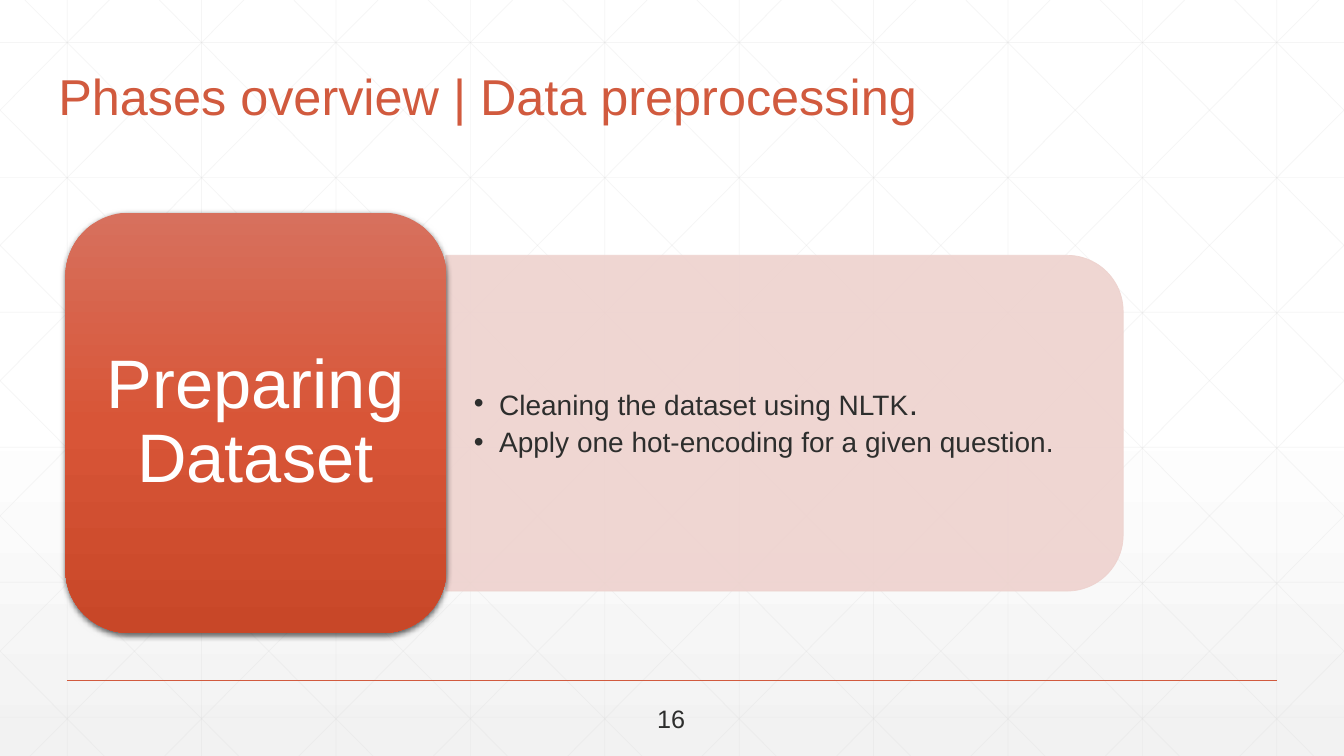
from lxml import etree
from pptx import Presentation
from pptx import util as u
from pptx.dml.color import RGBColor
from pptx.enum import shapes, text
from pptx.oxml import ns

COLORS = {
    "title": "D15A3E", "body": "2D2E2D", "white": "FFFFFF", "grid": "D9D9D9",
    "panel": "EED2CE", "shadow": "000000", "floor": "F2F2F2",
    "card_top": "D7705D", "card_mid": "D85537", "card_low": "C84728",
}
WIDTH, HEIGHT = 33.87, 19.05
PITCH = WIDTH / 10


def rgb(name):
    return RGBColor.from_string(COLORS[name])


def add_sub(parent, tag, **attrs):
    el = etree.SubElement(parent, ns.qn(tag))
    for key, value in attrs.items():
        el.set(key, str(value))
    return el


def set_alpha(element, percent):
    """Make every solid colour inside the element partly transparent."""
    for color in element.iter(ns.qn("a:srgbClr")):
        add_sub(color, "a:alpha", val=percent * 1000)


def set_gradient(fill, element, stops):
    """Fill from top to bottom with (percent, colour name) stops."""
    fill.solid()
    fill.fore_color.rgb = rgb(stops[0][1])
    solid = next(element.iter(ns.qn("a:solidFill")))
    grad = etree.Element(ns.qn("a:gradFill"), rotWithShape="1")
    stop_list = add_sub(grad, "a:gsLst")
    for percent, name in stops:
        gs = add_sub(stop_list, "a:gs", pos=percent * 1000)
        add_sub(gs, "a:srgbClr", val=COLORS[name])
    add_sub(grad, "a:lin", ang=5400000, scaled=0)
    solid.getparent().replace(solid, grad)


def add_line(s, x1, y1, x2, y2, color, width, alpha=100):
    ln = s.shapes.add_connector(shapes.MSO_CONNECTOR.STRAIGHT,
                                u.Cm(x1), u.Cm(y1), u.Cm(x2), u.Cm(y2))
    ln.line.color.rgb = rgb(color)
    ln.line.width = u.Pt(width)
    if alpha < 100:
        set_alpha(ln._element.spPr, alpha)
    add_sub(ln._element.spPr, "a:effectLst")


def add_grid(s):
    def grid_line(*ends):
        add_line(s, *ends, "grid", 0.5, 25)

    for i in range(10):
        x = (i + 0.5) * PITCH
        grid_line(x, 0, x, HEIGHT)
    for i in range(6):
        y = 1.07 + 3.4 * i
        grid_line(0, y, WIDTH, y)
    slope = HEIGHT / 18.93
    for i in range(-5, 10):
        start = 0.63 + i * PITCH
        x1, x2 = max(start, 0), min(start + HEIGHT / slope, WIDTH)
        y1, y2 = (x1 - start) * slope, (x2 - start) * slope
        grid_line(x1, y1, x2, y2)
        grid_line(WIDTH - x1, y1, WIDTH - x2, y2)


def add_panel(s):
    sp = s.shapes.add_shape(shapes.MSO_SHAPE.ROUND_2_SAME_RECTANGLE,
                            u.Cm(15.54), u.Cm(2.13), u.Cm(8.46), u.Cm(17.07))
    sp.rotation = 90
    sp.shadow.inherit = False
    sp.fill.solid()
    sp.fill.fore_color.rgb = rgb("panel")
    sp.line.color.rgb = rgb("panel")
    sp.line.width = u.Pt(0.5)
    set_alpha(sp._element.spPr, 90)


def add_card(s):
    sp = s.shapes.add_shape(shapes.MSO_SHAPE.ROUNDED_RECTANGLE,
                            u.Cm(1.65), u.Cm(5.36), u.Cm(9.6), u.Cm(10.59))
    set_gradient(sp.fill, sp._element.spPr,
                 [(0, "card_top"), (50, "card_mid"), (100, "card_low")])
    sp.line.fill.background()
    sp.shadow.inherit = False
    effects = sp._element.spPr.find(ns.qn("a:effectLst"))
    shadow = add_sub(effects, "a:outerShdw", blurRad=u.Pt(4.5), dist=u.Pt(1.5),
                     dir=5400000, algn="ctr", rotWithShape=0)
    add_sub(shadow, "a:srgbClr", val=COLORS["shadow"])
    set_alpha(shadow, 63)


def add_text(s, box, lines, size, color, inset=(0.25, 0.13), spacing=0.9,
             anchor=text.MSO_ANCHOR.MIDDLE, align=text.PP_ALIGN.LEFT, wrap=True):
    """Add a text box; box is left, top, width, height in centimetres."""
    tf = s.shapes.add_textbox(*map(u.Cm, box)).text_frame
    tf.word_wrap = wrap
    tf.vertical_anchor = anchor
    tf.margin_left = tf.margin_right = u.Cm(inset[0])
    tf.margin_top = tf.margin_bottom = u.Cm(inset[1])
    tf.text = "\n".join(lines)
    for p in tf.paragraphs:
        p.alignment = align
        p.line_spacing = spacing
        for r in p.runs:
            r.font.name = "Arial"
            r.font.size = u.Pt(size)
            r.font.color.rgb = rgb(color)
    return tf


def add_bullets(tf):
    for p in tf.paragraphs:
        p.space_after = u.Pt(4)
        pr = p._p.get_or_add_pPr()
        pr.set("marL", str(u.Cm(0.64)))
        pr.set("indent", str(-u.Cm(0.64)))
        add_sub(pr, "a:buFont", typeface="Arial")
        add_sub(pr, "a:buChar", char="•")


def main():
    prs = Presentation()
    prs.slide_width, prs.slide_height = u.Cm(WIDTH), u.Cm(HEIGHT)
    s = prs.slides.add_slide(prs.slide_layouts[6])
    set_gradient(s.background.fill, s._element,
                 [(0, "white"), (53, "white"), (100, "floor")])
    add_grid(s)
    add_line(s, PITCH / 2, 17.15, WIDTH - PITCH / 2, 17.15, "title", 1)

    title = add_text(s, (1.22, 1.35, 26.67, 3.18),
                     ["Phases overview | Data preprocessing"], 36, "title",
                     anchor=text.MSO_ANCHOR.BOTTOM)
    title.margin_bottom = u.Cm(1.45)

    add_panel(s)
    tasks = add_text(s, (11.25, 6.83, 16.66, 7.65),
                     ["Cleaning the dataset using NLTK",
                      "Apply one hot-encoding for a given question."],
                     20, "body", inset=(0.69, 0.36))
    add_bullets(tasks)
    stop = tasks.paragraphs[0].add_run()
    stop.text = "."
    stop.font.name = "Arial"
    stop.font.size = u.Pt(24)
    stop.font.color.rgb = rgb("body")

    add_card(s)
    add_text(s, (2.11, 5.84, 8.66, 9.65), ["Preparing Dataset"], 49, "white",
             inset=(0.51, 0.25), align=text.PP_ALIGN.CENTER)
    add_text(s, (16.31, 17.6, 1.22, 1.02), ["16"], 18, "body", spacing=1.0,
             anchor=text.MSO_ANCHOR.TOP, wrap=False)
    prs.save("out.pptx")


if __name__ == "__main__":
    main()
